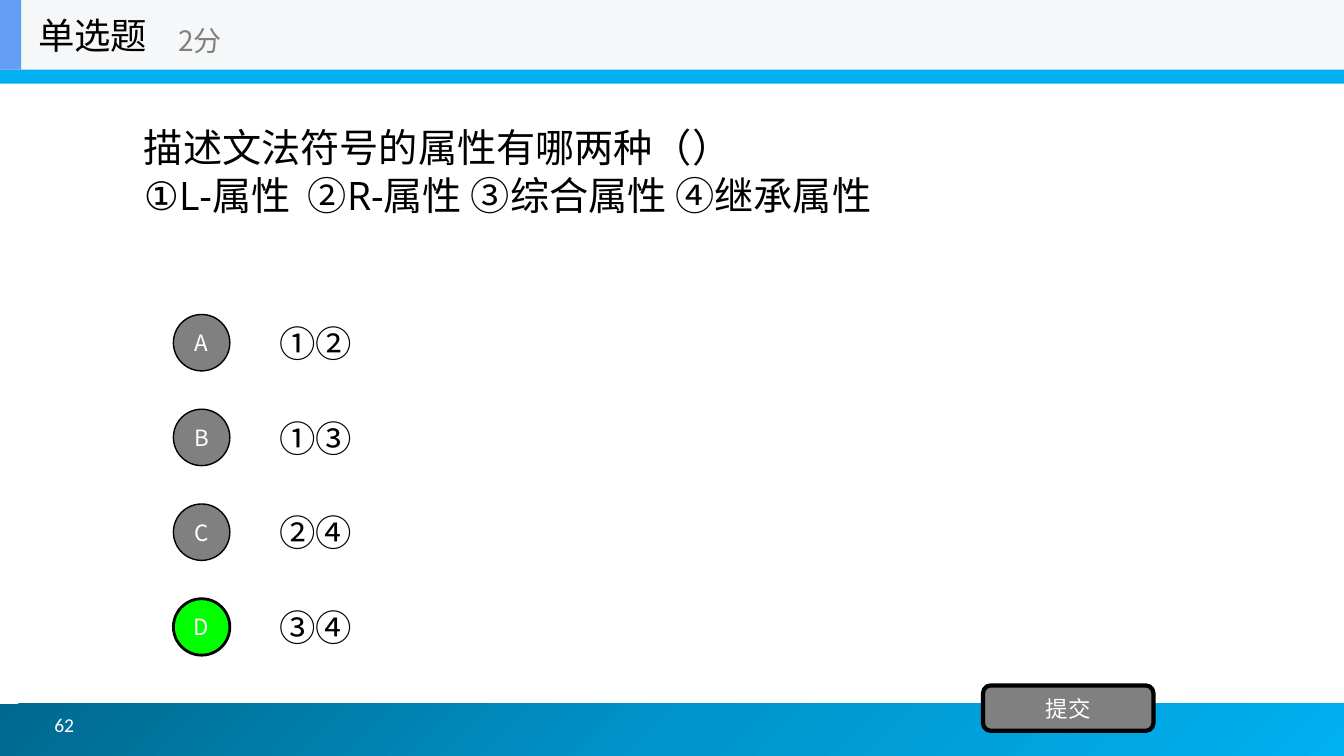
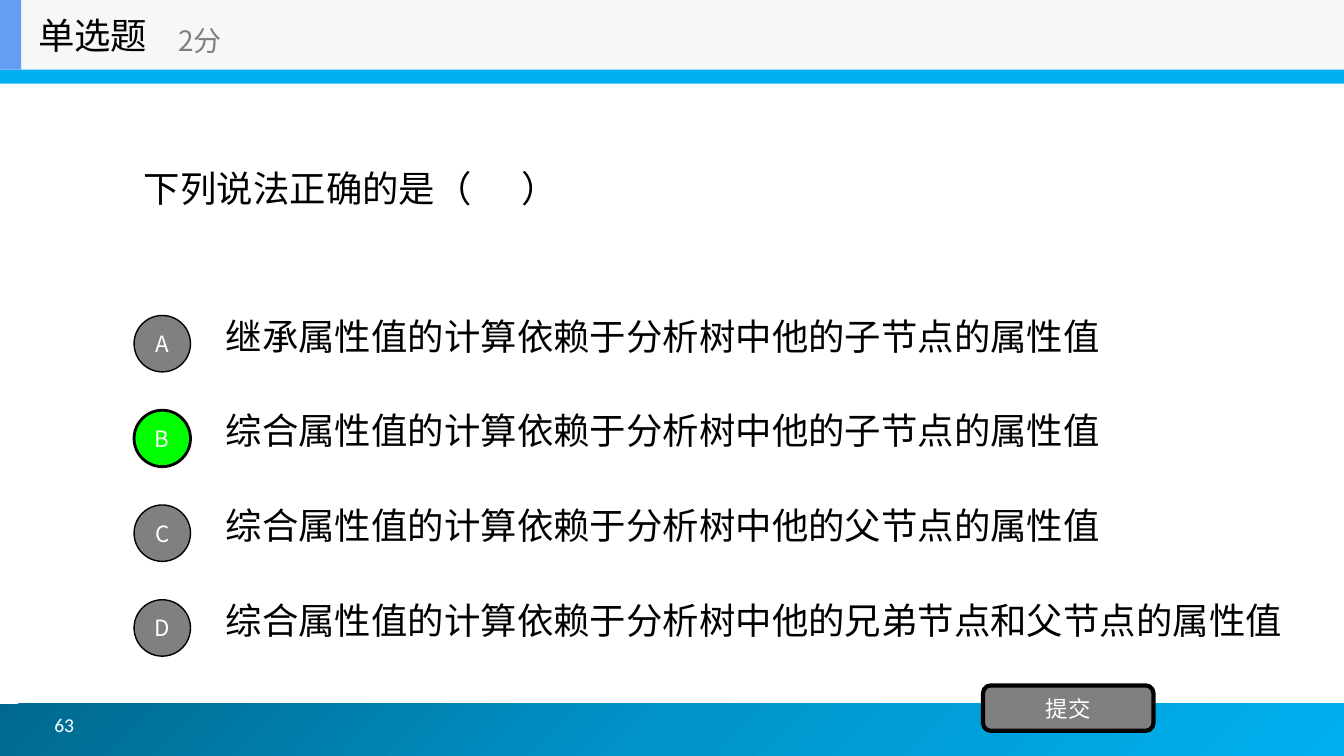
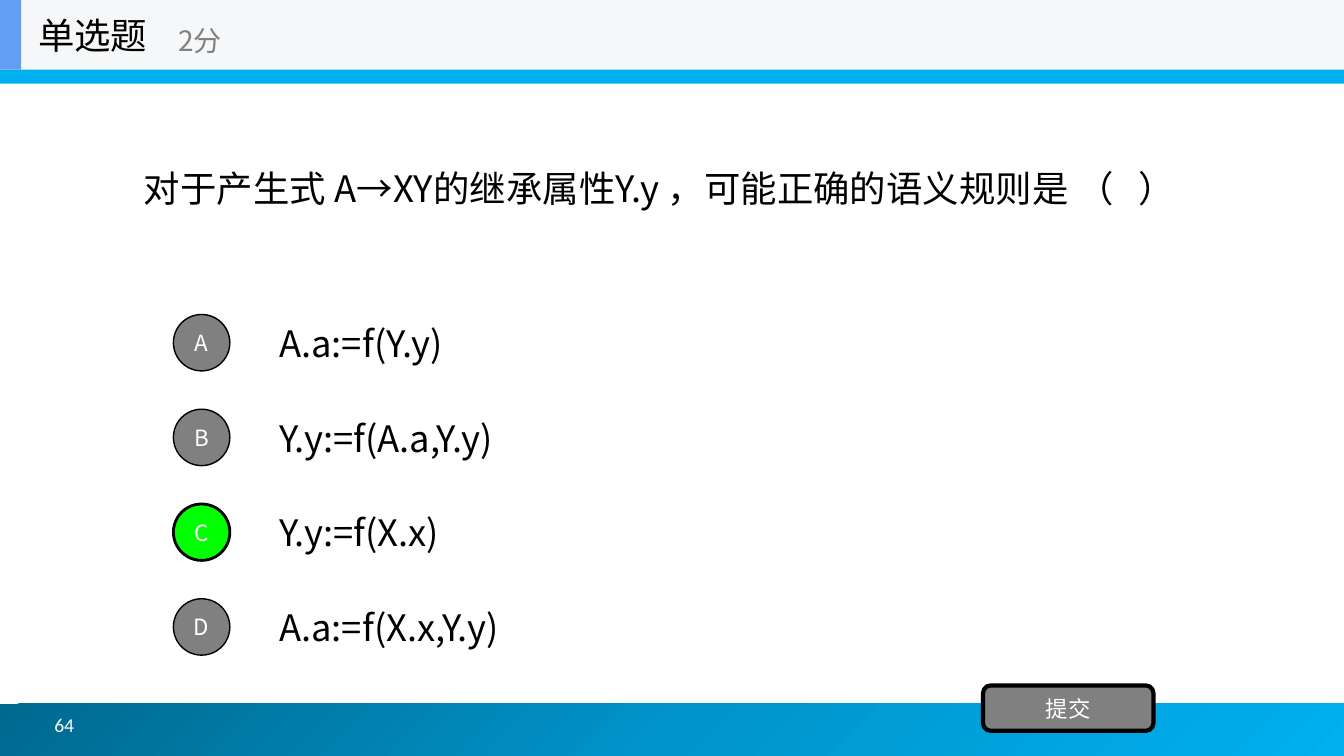
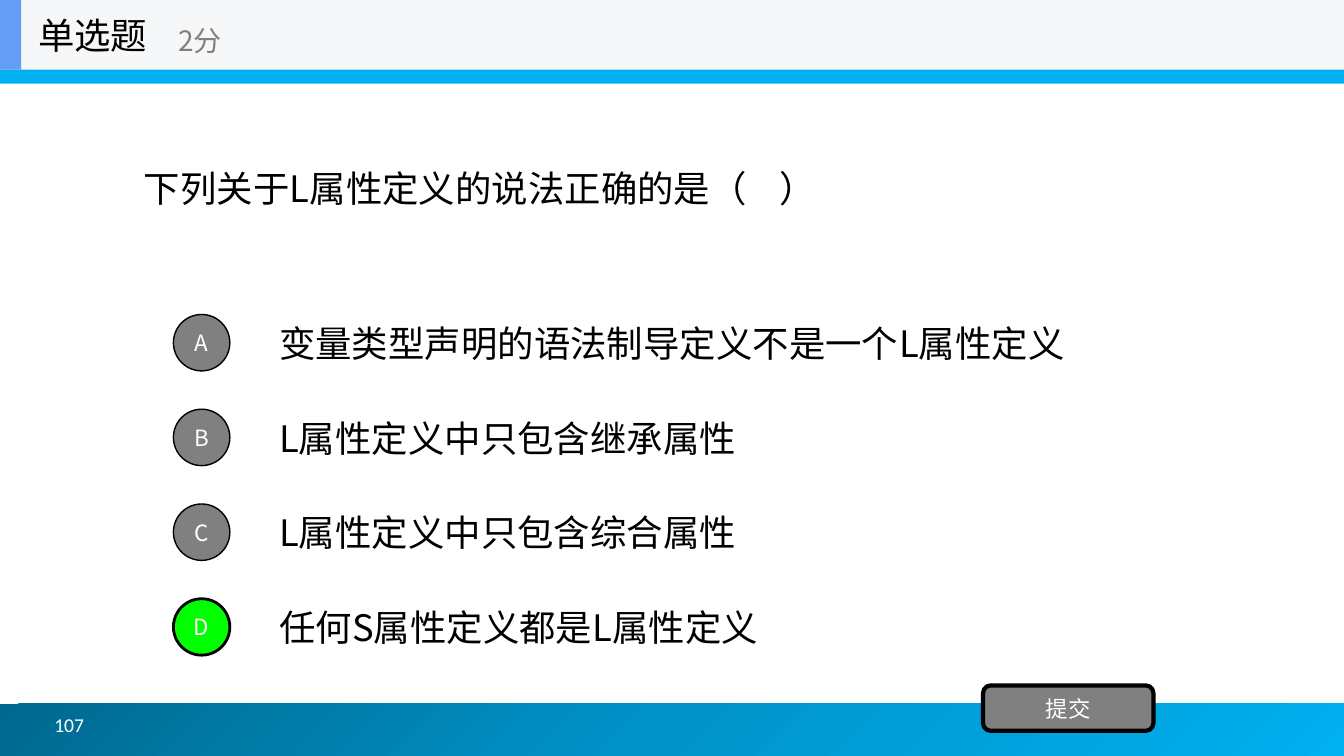
from copy import deepcopy

from pptx import Presentation
from pptx.dml.color import RGBColor
from pptx.enum.shapes import MSO_SHAPE
from pptx.enum.text import MSO_ANCHOR, PP_ALIGN
from pptx.oxml.ns import qn
from pptx.util import Inches, Pt

# Shared style
BLACK = RGBColor(0x00, 0x00, 0x00)
WHITE = RGBColor(0xFF, 0xFF, 0xFF)
GRAY = RGBColor(0x80, 0x80, 0x80)
GREEN = RGBColor(0x00, 0xFF, 0x00)
SKY = RGBColor(0x00, 0xB0, 0xF0)
HEADER_FILL = RGBColor(0xF6, 0xF7, 0xF8)
HEADER_ACCENT = RGBColor(0x63, 0x9E, 0xF4)
FOOTER_STOPS = [
    (0, RGBColor(0x00, 0x68, 0x8E)),
    (0.5, RGBColor(0x00, 0x94, 0xCA)),
    (1, SKY),
]
FONT = "Noto Sans CJK SC"
QUESTION_FONT = "Open Sans"
NUMBER_FONT = "Calibri"

# Layout of the answer rows
ROW_STEP = 0.94
ROW_HEIGHT = 0.7
CIRCLE_SIZE = 0.56

QUIZZES = [
    {
        "number": "62",
        "question": ["描述文法符号的属性有哪两种（）",
                     "①L-属性\u00a0 ②R-属性 ③综合属性 ④继承属性"],
        "question_format": {"size": 28, "font": QUESTION_FONT, "bottom": 0.38},
        "options": ["①②", "①③", "②④", "③④"],
        "answer": "D",
    },
    {
        "number": "63",
        "question": ["下列说法正确的是（      ）"],
        "options": ["继承属性值的计算依赖于分析树中他的子节点的属性值",
                    "综合属性值的计算依赖于分析树中他的子节点的属性值",
                    "综合属性值的计算依赖于分析树中他的父节点的属性值",
                    "综合属性值的计算依赖于分析树中他的兄弟节点和父节点的属性值"],
        "answer": "B",
        "circle_at": (1.33, 3.13),
        "option_at": (2.14, 2.98),
        "option_width": 11.06,
    },
    {
        "number": "64",
        "question": ["对于产生式 A→XY的继承属性Y.y ，可能正确的语义规则是 （   ）"],
        "options": ["A.a:=f(Y.y)", "Y.y:=f(A.a,Y.y)", "Y.y:=f(X.x)", "A.a:=f(X.x,Y.y)"],
        "answer": "C",
    },
    {
        "number": "107",
        "question": ["下列关于L属性定义的说法正确的是（    ）"],
        "options": ["变量类型声明的语法制导定义不是一个L属性定义",
                    "L属性定义中只包含继承属性",
                    "L属性定义中只包含综合属性",
                    "任何S属性定义都是L属性定义"],
        "answer": "D",
    },
]


def write_text(shape, lines, size=26, font=FONT, color=BLACK,
               align=PP_ALIGN.LEFT, wrap=True, bottom=0.05):
    """Fill a shape with one paragraph per line."""
    frame = shape.text_frame
    frame.word_wrap = wrap
    frame.vertical_anchor = MSO_ANCHOR.MIDDLE
    frame.margin_bottom = Inches(bottom)
    for index, line in enumerate(lines):
        paragraph = frame.paragraphs[0] if index == 0 else frame.add_paragraph()
        paragraph.alignment = align
        run = paragraph.add_run()
        run.text = line
        run.font.size = Pt(size)
        run.font.name = font
        run.font.color.rgb = color


def add_text(shapes, left, top, width, height, lines, **text_format):
    box = shapes.add_textbox(Inches(left), Inches(top), Inches(width), Inches(height))
    write_text(box, lines, **text_format)


def add_box(shapes, kind, left, top, width, height, fill=None, line_width=0):
    shape = shapes.add_shape(kind, Inches(left), Inches(top), Inches(width), Inches(height))
    shape.shadow.inherit = False
    if fill is not None:
        shape.fill.solid()
        shape.fill.fore_color.rgb = fill
    if line_width:
        shape.line.color.rgb = BLACK
        shape.line.width = Pt(line_width)
    else:
        shape.line.fill.background()
    return shape


def add_button(shapes, kind, left, top, width, height, label, fill, line_width):
    button = add_box(shapes, kind, left, top, width, height, fill, line_width)
    write_text(button, [label], size=16, color=WHITE, align=PP_ALIGN.CENTER, wrap=False)


def fill_gradient(shape, stops):
    shape.fill.gradient()
    shape.fill.gradient_angle = 315
    # A new gradient has two stops: add the missing one
    stop_list = next(shape._element.iter(qn("a:gsLst")))
    stop_list.append(deepcopy(stop_list[0]))
    for stop, (position, color) in zip(shape.fill.gradient_stops, stops):
        stop.position = position
        stop.color.rgb = color


def add_frame(slide, number):
    """Bands, slide number and header common to all slides."""
    shapes = slide.shapes
    footer = add_box(shapes, MSO_SHAPE.RECTANGLE, -0.05, 6.98, 13.39, 0.52)
    fill_gradient(footer, FOOTER_STOPS)
    add_box(shapes, MSO_SHAPE.RECTANGLE, -0.02, 0.02, 13.36, 0.81, SKY)
    add_text(shapes, 0.44, 6.94, 2.89, 0.5, [number], size=14, font=NUMBER_FONT, color=WHITE)

    header = shapes.add_group_shape().shapes
    add_box(header, MSO_SHAPE.RECTANGLE, 0, 0, 13.33, 0.69, HEADER_FILL)
    add_box(header, MSO_SHAPE.RECTANGLE, 0, 0, 0.21, 0.69, HEADER_ACCENT)
    add_text(header, 0.28, 0, 2.08, 0.69, ["单选题"])
    add_text(header, 1.67, 0.12, 2.5, 0.56, ["2分"], size=20, color=GRAY)


def add_quiz(presentation, number, question, options, answer, question_format=None,
             circle_at=(1.72, 3.12), option_at=(2.67, 3.05), option_width=9.33):
    slide = presentation.slides.add_slide(presentation.slide_layouts[6])
    shapes = slide.shapes
    add_frame(slide, number)
    add_text(shapes, 1.33, 0.69, 10.67, 2.34, question, **(question_format or {}))

    # Answer rows, the right one in green
    for row, (letter, option) in enumerate(zip("ABCD", options)):
        offset = row * ROW_STEP
        add_text(shapes, option_at[0], option_at[1] + offset, option_width, ROW_HEIGHT, [option])
        fill, line_width = (GREEN, 2) if letter == answer else (GRAY, 1)
        add_button(shapes, MSO_SHAPE.OVAL, circle_at[0], circle_at[1] + offset,
                   CIRCLE_SIZE, CIRCLE_SIZE, letter, fill, line_width)

    add_button(shapes, MSO_SHAPE.ROUNDED_RECTANGLE, 9.75, 6.8, 1.69, 0.45, "提交", GRAY, 3)


def main():
    presentation = Presentation()
    presentation.slide_width = Inches(13.33)
    presentation.slide_height = Inches(7.5)
    for quiz in QUIZZES:
        add_quiz(presentation, **quiz)
    presentation.save("out.pptx")


if __name__ == "__main__":
    main()
